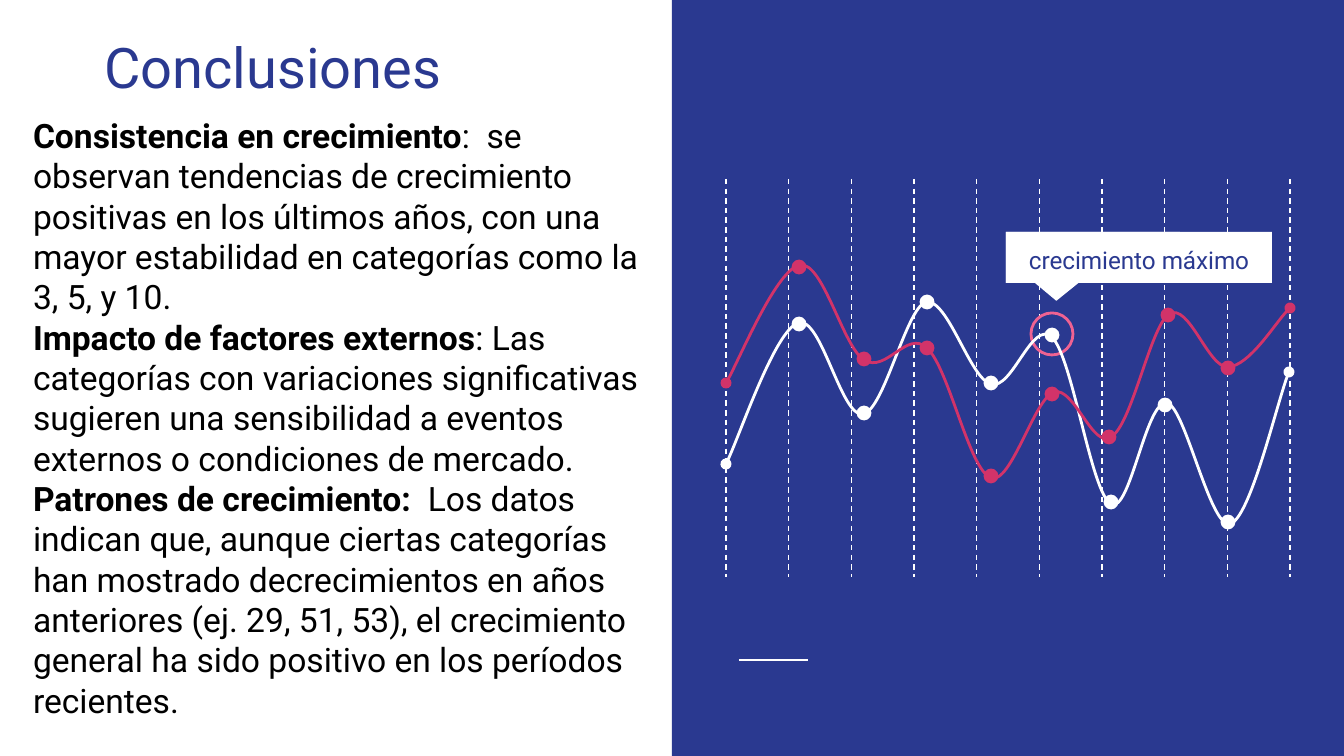
from lxml import etree
from pptx import Presentation
from pptx.dml.color import RGBColor
from pptx.enum.dml import MSO_LINE
from pptx.enum.shapes import MSO_CONNECTOR, MSO_SHAPE
from pptx.enum.text import MSO_ANCHOR, MSO_AUTO_SIZE, PP_ALIGN
from pptx.oxml.ns import qn
from pptx.util import Pt

SCALE = 914400 / 134.4
FONT = "Roboto"
BLUE = RGBColor(0x2A, 0x39, 0x90)
WHITE = RGBColor(0xFF, 0xFF, 0xFF)
BLACK = RGBColor(0, 0, 0)
RED = RGBColor(0xD2, 0x33, 0x69)
PINK = RGBColor(0xF0, 0x62, 0x92)

RECT, OVAL = MSO_SHAPE.RECTANGLE, MSO_SHAPE.OVAL
BUBBLE = MSO_SHAPE.ROUNDED_RECTANGULAR_CALLOUT
STRAIGHT = MSO_CONNECTOR.STRAIGHT
DASH = MSO_LINE.DASH
LEFT, CENTER = PP_ALIGN.LEFT, PP_ALIGN.CENTER
TOP, MIDDLE, BOTTOM = MSO_ANCHOR.TOP, MSO_ANCHOR.MIDDLE, MSO_ANCHOR.BOTTOM
FIXED = MSO_AUTO_SIZE.NONE

GRID = {"left": 726, "right": 1290, "top": 179, "base": 577, "count": 10}
DOT = 12

WHITE_CURVE = [
    (726, 464),
    (738, 441), (775, 331), (798, 323),
    (821, 314), (841, 418), (863, 414),
    (884, 411), (906, 308), (926, 302),
    (948, 298), (970, 379), (991, 384),
    (1012, 391), (1032, 319), (1052, 337),
    (1073, 358), (1091, 493), (1111, 504),
    (1130, 515), (1146, 399), (1167, 403),
    (1185, 406), (1210, 528), (1230, 524),
    (1250, 519), (1278, 398), (1289, 372),
]
WHITE_DOTS = [(799, 324), (864, 413), (927, 302), (991, 383),
              (1052, 335), (1111, 502), (1165, 405), (1228, 522)]
RED_CURVE = [
    (726, 383),
    (738, 363), (777, 269), (800, 265),
    (823, 261), (843, 347), (864, 360),
    (886, 374), (907, 329), (927, 348),
    (949, 368), (969, 470), (991, 478),
    (1011, 485), (1034, 399), (1054, 392),
    (1074, 386), (1093, 450), (1111, 437),
    (1132, 425), (1150, 327), (1169, 314),
    (1189, 302), (1208, 368), (1228, 367),
    (1249, 366), (1279, 317), (1290, 308),
]
RED_DOTS = [(799, 267), (864, 359), (927, 348), (991, 476),
            (1052, 394), (1109, 437), (1168, 315), (1228, 368)]

BODY = [
    ("Consistencia en crecimiento",
     ":  se observan tendencias de crecimiento positivas en los últimos años, "
     "con una mayor estabilidad en categorías como la 3, 5, y 10."),
    ("Impacto de factores externos",
     ": Las categorías con variaciones significativas sugieren una "
     "sensibilidad a eventos externos o condiciones de mercado."),
    ("Patrones de crecimiento: ",
     " Los datos indican que, aunque ciertas categorías han mostrado "
     "decrecimientos en años anteriores (ej. 29, 51, 53), el crecimiento "
     "general ha sido positivo en los períodos recientes."),
]


def px(num):
    return round(num * SCALE)


def apply(item, values):
    for name, value in values.items():
        setattr(item, name, value)


def paint(shape, fill=None, line=None):
    shape.shadow.inherit = False
    if fill is None:
        shape.fill.background()
    else:
        shape.fill.solid()
        shape.fill.fore_color.rgb = fill
    if line is None:
        shape.line.fill.background()
    else:
        shape.line.color.rgb = line
        shape.line.width = Pt(1.5)


def add_shape(slide, kind, box, fill=None, line=None, adjust=()):
    shape = slide.shapes.add_shape(kind, *map(px, box))
    for i, value in enumerate(adjust):
        shape.adjustments[i] = value
    paint(shape, fill, line)


def add_line(slide, start, end, style):
    line = slide.shapes.add_connector(STRAIGHT, *map(px, start + end))
    line.line.color.rgb = WHITE
    apply(line.line, style)
    etree.SubElement(line._element.spPr, qn("a:effectLst"))


def add_curve(slide, points, color):
    pen = slide.shapes.build_freeform(*points[0], scale=SCALE)
    pen.add_line_segments(points[1:], close=False)
    curve = pen.convert_to_shape()
    paint(curve, line=color)
    steps = list(curve._element.iter(qn("a:lnTo")))
    for first, second, third in zip(steps[::3], steps[1::3], steps[2::3]):
        first.tag = qn("a:cubicBezTo")
        for step in (second, third):
            first.append(step[0])
            step.getparent().remove(step)
    edge = curve.line._get_or_add_ln()
    for end in ("a:headEnd", "a:tailEnd"):
        etree.SubElement(edge, qn(end), type="oval")


def add_series(slide, points, dots, color):
    add_curve(slide, points, color)
    for x, y in dots:
        box = (x - DOT // 2, y - DOT // 2, DOT, DOT)
        add_shape(slide, OVAL, box, color, color)


def set_text(shape, box, paras, font, align=LEFT, anchor=TOP, space=1.0):
    apply(shape, dict(zip(("left", "top", "width", "height"), map(px, box))))
    frame = shape.text_frame
    apply(frame, {"word_wrap": True, "auto_size": FIXED,
                  "vertical_anchor": anchor,
                  "margin_left": px(13), "margin_right": px(13),
                  "margin_top": px(13), "margin_bottom": px(13)})
    for i, runs in enumerate(paras):
        para = frame.add_paragraph() if i else frame.paragraphs[0]
        apply(para, {"alignment": align, "line_spacing": space,
                     "space_before": Pt(0)})
        for text, bold in runs:
            run = para.add_run()
            run.text = text
            apply(run.font, {"name": FONT, "size": Pt(font[0]), "bold": bold})
            run.font.color.rgb = font[1]


def add_text(slide, box, *args, **style):
    shape = slide.shapes.add_textbox(*map(px, box))
    set_text(shape, box, *args, **style)


def add_grid(slide):
    step = (GRID["right"] - GRID["left"]) / (GRID["count"] - 1)
    for i in range(GRID["count"]):
        x = GRID["left"] + i * step
        add_line(slide, (x, GRID["top"]), (x, GRID["base"]),
                 {"width": Pt(0.75), "dash_style": DASH})


def add_callout(slide):
    add_shape(slide, BUBBLE, (1006, 232, 174, 51), WHITE,
              adjust=(-0.21, 0.85, 0))
    add_shape(slide, BUBBLE, (1006, 232, 266, 51), WHITE,
              adjust=(-0.18, 0.45, 0))
    add_text(slide, (1006, 237, 266, 42), [[("crecimiento máximo", False)]],
             (13, BLUE), align=CENTER, anchor=MIDDLE, space=1.15)


def main():
    deck = Presentation()
    apply(deck, {"slide_width": px(1344), "slide_height": px(756)})
    slide = deck.slides.add_slide(deck.slide_layouts[5])
    add_shape(slide, RECT, (672, 0, 672, 756), BLUE)
    add_line(slide, (739, 660), (808, 660), {"width": Pt(1.5)})
    add_grid(slide)
    add_shape(slide, OVAL, (1031, 313, 42, 42), line=PINK)
    set_text(slide.shapes.title, (39, 24, 468, 89),
             [[("Conclusiones", False)]], (30, BLUE),
             align=CENTER, anchor=BOTTOM)
    add_series(slide, WHITE_CURVE, WHITE_DOTS, WHITE)
    add_series(slide, RED_CURVE, RED_DOTS, RED)
    add_callout(slide)
    paras = [[(head, True), (rest, False)] for head, rest in BODY]
    add_text(slide, (20, 102, 638, 632), paras, (18, BLACK))
    deck.save("out.pptx")


if __name__ == "__main__":
    main()
